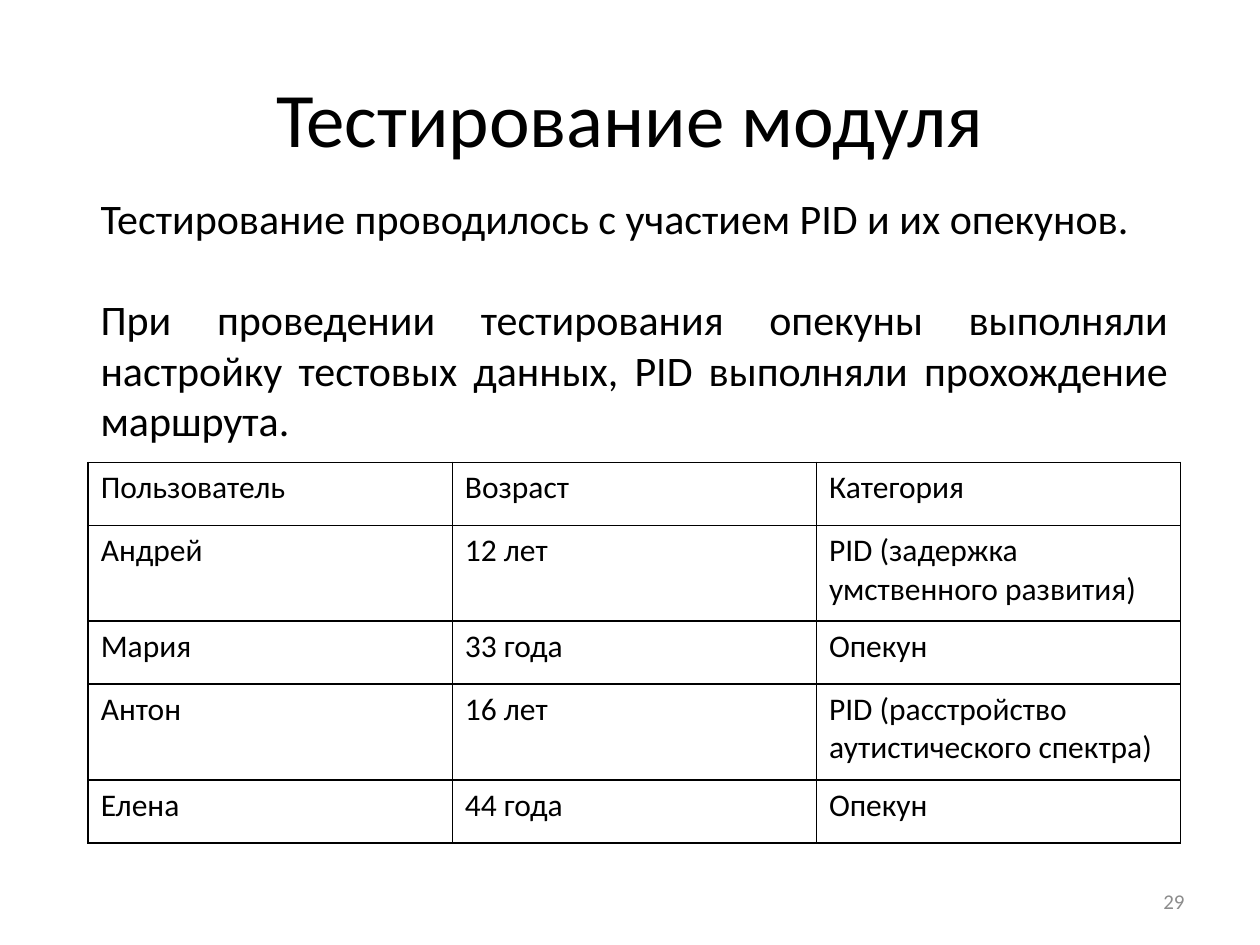
from lxml import etree
from pptx import Presentation
from pptx.dml.color import RGBColor
from pptx.enum.text import MSO_ANCHOR, PP_ALIGN
from pptx.oxml.ns import qn
from pptx.util import Inches, Pt

FONT = "Calibri"
BLACK = RGBColor(0x00, 0x00, 0x00)
GRAY = RGBColor(0x8C, 0x8C, 0x8C)
TOP, MIDDLE = MSO_ANCHOR.TOP, MSO_ANCHOR.MIDDLE
LEFT, CENTER, RIGHT, JUSTIFY = (
    PP_ALIGN.LEFT, PP_ALIGN.CENTER, PP_ALIGN.RIGHT, PP_ALIGN.JUSTIFY)

TITLE = "Тестирование модуля"
SUMMARY = [
    "Тестирование проводилось с участием PID и их опекунов.",
    "При проведении тестирования опекуны выполняли настройку тестовых данных, "
    "PID выполняли прохождение маршрута.",
]
PARTICIPANTS = [
    ("Пользователь", "Возраст", "Категория"),
    ("Андрей", "12 лет", "PID (задержка умственного развития)"),
    ("Мария", "33 года", "Опекун"),
    ("Антон", "16 лет", "PID (расстройство аутистического спектра)"),
    ("Елена", "44 года", "Опекун"),
]
ROW_HEIGHTS = [0.5, 0.76, 0.5, 0.76, 0.5]


def format_text(frame, size, color=BLACK, align=LEFT):
    """Apply one font and alignment to all text in a frame."""
    for paragraph in frame.paragraphs:
        paragraph.alignment = align
        for run in paragraph.runs:
            run.font.name = FONT
            run.font.size = Pt(size)
            run.font.color.rgb = color


def add_text(slide, box, text, size, align, anchor=MIDDLE, color=BLACK):
    """Add wrapped text in the given box and return its frame."""
    frame = slide.shapes.add_textbox(*map(Inches, box)).text_frame
    frame.word_wrap = True
    frame.vertical_anchor = anchor
    frame.text = text
    format_text(frame, size, color, align)
    return frame


def add_summary(slide, box):
    """Add the justified paragraphs, one line apart."""
    frame = add_text(slide, box, "\n".join(SUMMARY), 24, JUSTIFY, TOP)
    for paragraph in frame.paragraphs[1:]:
        paragraph.space_before = Pt(29)


def style_cell(cell):
    """Give a cell thin black borders and no fill."""
    properties = cell._tc.get_or_add_tcPr()
    for side in ("lnL", "lnR", "lnT", "lnB"):
        border = etree.SubElement(properties, qn(f"a:{side}"), w=str(Pt(1)))
        fill = etree.SubElement(border, qn("a:solidFill"))
        etree.SubElement(fill, qn("a:srgbClr"), val=str(BLACK))
    cell.fill.background()


def add_participants(slide, box):
    """Add the table of test participants."""
    table = slide.shapes.add_table(
        len(PARTICIPANTS), len(PARTICIPANTS[0]), *map(Inches, box)).table
    table.first_row = False
    table.horz_banding = False
    for row, height, values in zip(table.rows, ROW_HEIGHTS, PARTICIPANTS):
        row.height = Inches(height)
        for cell, value in zip(row.cells, values):
            cell.text_frame.text = value
            format_text(cell.text_frame, 18)
            style_cell(cell)


def main():
    """Build and save the testing slide."""
    deck = Presentation()
    deck.slide_width, deck.slide_height = Inches(10), Inches(7.5)
    slide = deck.slides.add_slide(deck.slide_layouts[6])
    add_text(slide, (0.5, 0.3, 9, 1.25), TITLE, 44, CENTER)
    add_summary(slide, (0.7, 1.48, 8.67, 2.03))
    add_participants(slide, (0.7, 3.67, 8.67, sum(ROW_HEIGHTS)))
    add_text(slide, (7.17, 6.95, 2.33, 0.4), "29", 12, RIGHT, color=GRAY)
    deck.save("out.pptx")


if __name__ == "__main__":
    main()
